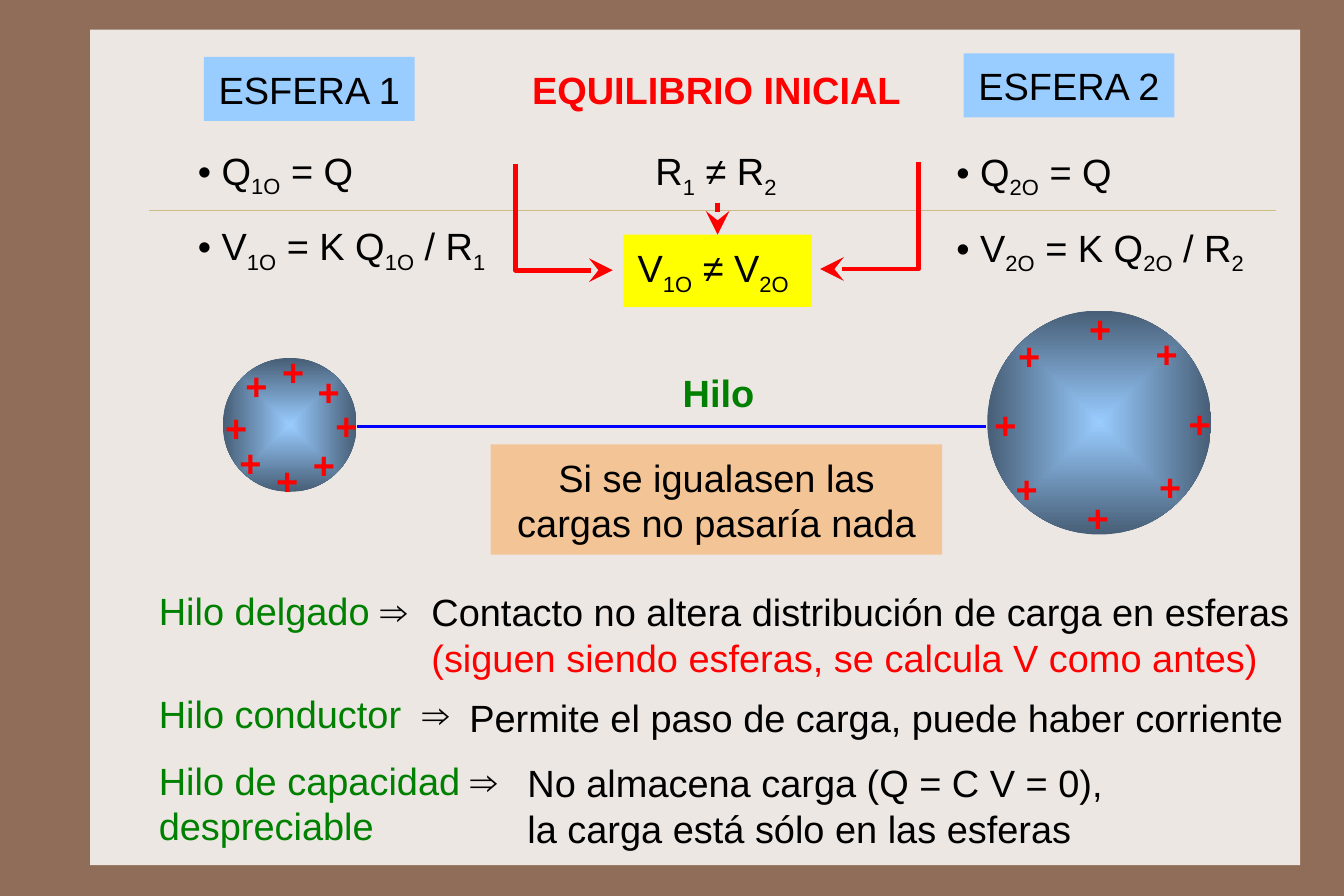
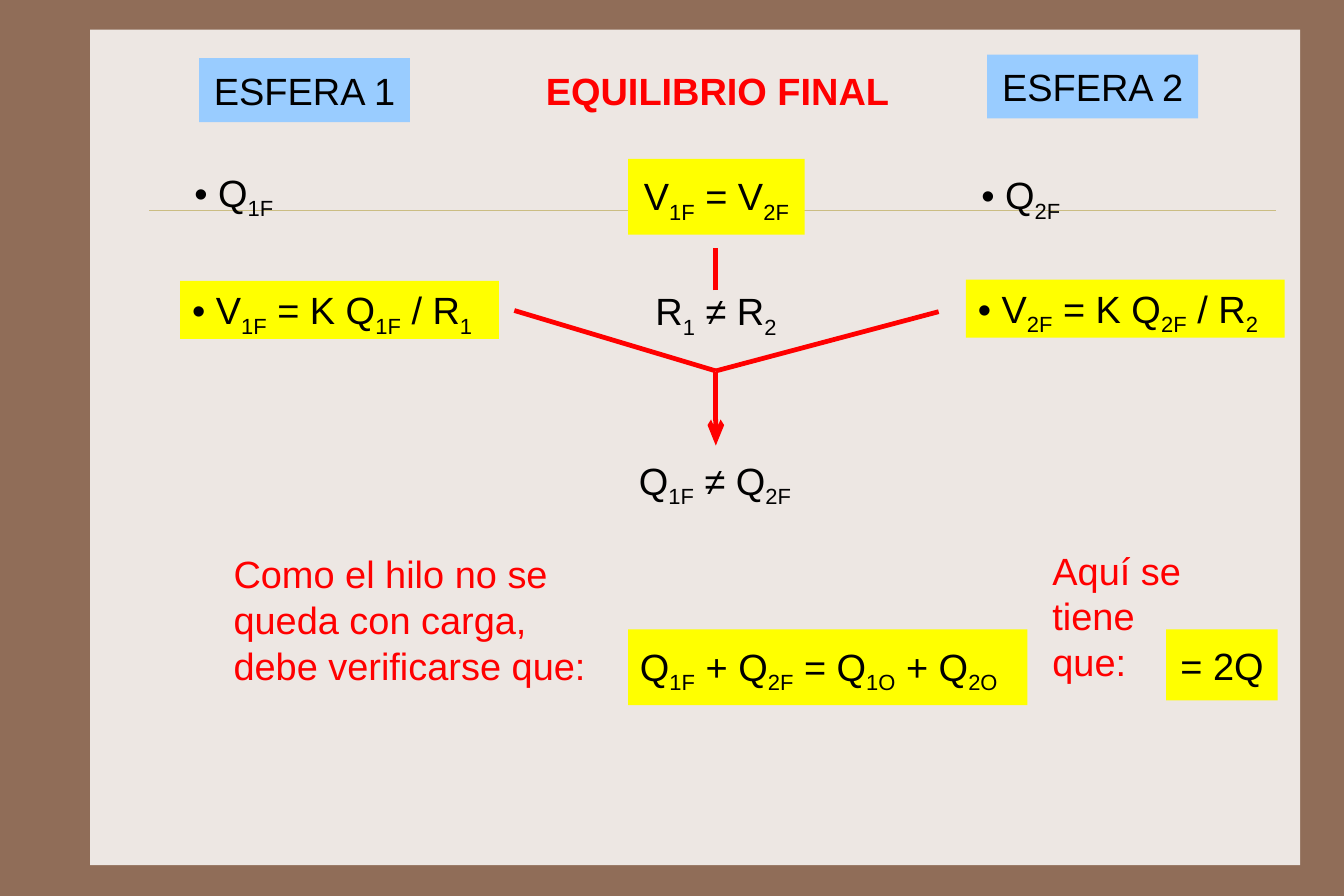
"""Build two slides on the charge balance of two spheres joined by a wire."""
from lxml.etree import SubElement
from pptx import Presentation
from pptx.dml.color import RGBColor
from pptx.enum.shapes import MSO_CONNECTOR, MSO_SHAPE
from pptx.enum.text import MSO_ANCHOR, MSO_AUTO_SIZE, PP_ALIGN
from pptx.oxml import parse_xml
from pptx.oxml.ns import nsdecls, qn
from pptx.util import Pt

PX = 9525
HUES = {
    "brown": "906D58", "paper": "EDE7E3", "rule": "CBBD83", "ink": "000000",
    "red": "FF0000", "green": "008000", "blue": "0000FF", "sky": "99CCFF",
    "steel": "475E76", "yellow": "FFFF00", "peach": "F3C495",
}
RGB = {name: RGBColor.from_string(code) for name, code in HUES.items()}
MID = PP_ALIGN.CENTER
HALF = MSO_ANCHOR.MIDDLE


def write(shapes, box, text, hue="ink", fill=None, pad=(10, 5), align=PP_ALIGN.LEFT,
          bold=False, wrap=False, alt="ink", item=None, hang=MSO_ANCHOR.TOP):
    """Set text in a box; _ marks subscripts and | switches to the alt colour."""
    spot = [v * PX for v in box]
    if item is not None:
        item.left, item.top, item.width, item.height = spot
    elif fill:
        item = shapes.add_shape(MSO_SHAPE.RECTANGLE, *spot)
        item.shadow.inherit = False
        item.fill.solid()
        item.fill.fore_color.rgb = RGB[fill]
        item.line.fill.background()
    else:
        item = shapes.add_textbox(*spot)
    frame = item.text_frame
    side, top = pad[0] * PX, pad[1] * PX
    form = {"margin_left": side, "margin_right": side, "margin_top": top,
            "margin_bottom": top, "word_wrap": wrap,
            "auto_size": MSO_AUTO_SIZE.NONE, "vertical_anchor": hang}
    for key, val in form.items():
        setattr(frame, key, val)
    for i, line in enumerate(text.split("\n")):
        para = frame.add_paragraph() if i else frame.paragraphs[0]
        para.alignment = align
        for part, tone in zip(line.split("|"), (hue, alt)):
            for j, bit in enumerate(part.split("_")):
                if not bit:
                    continue
                run = para.add_run()
                run.text = bit
                for key, val in {"name": "Arial", "size": Pt(24), "bold": bold}.items():
                    setattr(run.font, key, val)
                run.font.color.rgb = RGB[tone]
                if j % 2:
                    run._r.get_or_add_rPr().set("baseline", "-25000")
    return item


def draw(item, hue="red", width=3, tip=None, wide="lg"):
    """Style a line and give its end an arrowhead."""
    item.line.color.rgb = RGB[hue]
    item.line.width = Pt(width)
    if tip:
        SubElement(item.line._get_or_add_ln(), qn("a:tailEnd"), type=tip, w=wide, len="lg")
    SubElement(item.element.spPr, qn("a:effectLst"))


deck = Presentation()
deck.slide_width, deck.slide_height = 1134 * PX, 756 * PX
base = deck.slide_layouts[5]
base.background.fill.solid()
base.background.fill.fore_color.rgb = RGB["brown"]

pages = [
    ("EQUILIBRIO INICIAL", (436, 48, 337, 54), (172, 48), (813, 45)),
    ("EQUILIBRIO FINAL", (448, 49, 315, 54), (168, 49), (833, 46)),
]
views = []
for name, box, *heads in pages:
    view = deck.slides.add_slide(base).shapes
    write(view, box, name, "red", pad=(12, 8), align=MID, bold=True,
          item=view.title, hang=HALF)
    for n, spot in enumerate(heads, 1):
        write(view, (*spot, 178, 54), f"ESFERA {n}", fill="sky", pad=(12, 8),
              align=MID, hang=HALF)
    views.append(view)
first, last = views

sheet = first.add_shape(MSO_SHAPE.RECTANGLE, 76 * PX, 25 * PX, 1021 * PX, 705 * PX)
sheet.shadow.inherit = False
sheet.fill.solid()
sheet.fill.fore_color.rgb = RGB["paper"]
sheet.line.fill.background()
rule = first.add_connector(MSO_CONNECTOR.STRAIGHT, 126 * PX, 177 * PX, 1077 * PX, 177 * PX)
draw(rule, "rule", 0.25)
for i, part in enumerate((sheet, rule), 2):
    base.shapes.element.insert(i, part.element)

for n, x, y in ((1, 155, 119), (2, 795, 120)):
    write(first, (x, y, 162, 54), f"• Q_{n}O_ = Q", pad=(12, 8), hang=HALF)
    write(first, (x, y + 64, 280, 54), f"• V_{n}O_ = K Q_{n}O_ / R_{n}_",
          pad=(12, 8), hang=HALF)

balls = [
    (188, 302, 113, [(228, 289), (180, 336), (273, 335), (223, 381),
                     (197, 301), (258, 306), (254, 368), (192, 366)]),
    (833, 262, 189, [(909, 253), (907, 412), (829, 334), (993, 333),
                     (849, 276), (968, 386), (965, 274), (847, 388)]),
]
for x, y, size, signs in balls:
    ball = first.add_shape(MSO_SHAPE.OVAL, x * PX, y * PX, size * PX, size * PX)
    ball.shadow.inherit = False
    ball.line.fill.background()
    ball.element.spPr.insert(2, parse_xml(
        f'<a:gradFill {nsdecls("a")} rotWithShape="1"><a:gsLst>'
        f'<a:gs pos="0"><a:srgbClr val="{HUES["sky"]}"/></a:gs>'
        f'<a:gs pos="100000"><a:srgbClr val="{HUES["steel"]}"/></a:gs></a:gsLst>'
        '<a:path path="shape"><a:fillToRect l="50000" t="50000" r="50000" b="50000"/>'
        '</a:path></a:gradFill>'))
    for spot in signs:
        write(first, (*spot, 37, 48), "+", "red", bold=True)

wire = first.add_connector(MSO_CONNECTOR.STRAIGHT, 301 * PX, 360 * PX, 832 * PX, 360 * PX)
draw(wire, "blue", 2)
write(first, (566, 307, 69, 41), "Hilo", "green", bold=True)
write(first, (414, 375, 381, 93), "Si se igualasen las cargas no pasaría nada",
      fill="peach", pad=(12, 8), align=MID, wrap=True, hang=HALF)

radii = write(first, (543, 122, 125, 49), "R_1_ ≠ R_2_", hang=HALF)
volts = write(first, (526, 198, 159, 61), "V_1O_ ≠ V_2O_", fill="yellow",
              pad=(12, 12), hang=HALF)
drop = first.add_connector(MSO_CONNECTOR.STRAIGHT, 0, 0, 0, 0)
drop.begin_connect(radii, 2)
drop.end_connect(volts, 0)
draw(drop, tip="stealth")
for x, y, end in ((435, 138, 517), (775, 137, 692)):
    pen = first.build_freeform(x, y, scale=PX)
    pen.add_line_segments([(x, y + 90), (end, y + 90)], close=False)
    bend = pen.convert_to_shape()
    bend.fill.background()
    draw(bend, tip="stealth")

notes = [
    ((124, 491, 290, 49), "Hilo delgado |⇒", "green", "ink"),
    ((124, 578, 275, 49), "Hilo conductor  |⇒", "green", "ink"),
    ((124, 634, 328, 87), "Hilo de capacidad |⇒\ndespreciable", "green", "ink"),
    ((354, 492, 761, 87), "Contacto no altera distribución de carga en esferas "
     "|(siguen siendo esferas, se calcula V como antes)", "ink", "red"),
    ((386, 581, 716, 49), "Permite el paso de carga, puede haber corriente", "ink", "ink"),
    ((435, 636, 522, 87), "No almacena carga (Q = C V = 0),\n"
     "la carga está sólo en las esferas", "ink", "ink"),
]
for box, text, hue, alt in notes:
    write(first, box, text, hue, alt=alt, wrap=True)

for n, x, y, left in ((1, 154, 138, 152), (2, 818, 140, 815)):
    write(last, (x, y, 93, 49), f"• Q_{n}F_")
    write(last, (left, 238 - n, 269, 49), f"• V_{n}F_ = K Q_{n}F_ / R_{n}_", fill="yellow")
write(last, (543, 238, 125, 49), "R_1_ ≠ R_2_")
write(last, (529, 381, 155, 49), "Q_1F_ ≠ Q_2F_")
write(last, (530, 134, 149, 64), "V_1F_ = V_2F_", fill="yellow", pad=(10, 12), align=MID)
write(last, (530, 531, 337, 64), "Q_1F_ + Q_2F_ = Q_1O_ + Q_2O_",
      fill="yellow", pad=(10, 12))
write(last, (187, 460, 330, 126), "Como el hilo no se queda con carga, debe verificarse que:",
      "red", wrap=True)
write(last, (878, 457, 208, 126), "Aquí se\ntiene\nque:", "red", wrap=True)
write(last, (984, 531, 94, 60), "= 2Q", fill="yellow", pad=(12, 8), hang=HALF)

lines = [(792, 263, 604, 313, None), (434, 262, 604, 313, None),
         (604, 245, 604, 209, None), (604, 314, 604, 376, "arrow")]
for *ends, tip in lines:
    line = last.add_connector(MSO_CONNECTOR.STRAIGHT, *[v * PX for v in ends])
    draw(line, tip=tip, wide="med")

deck.save("out.pptx")
